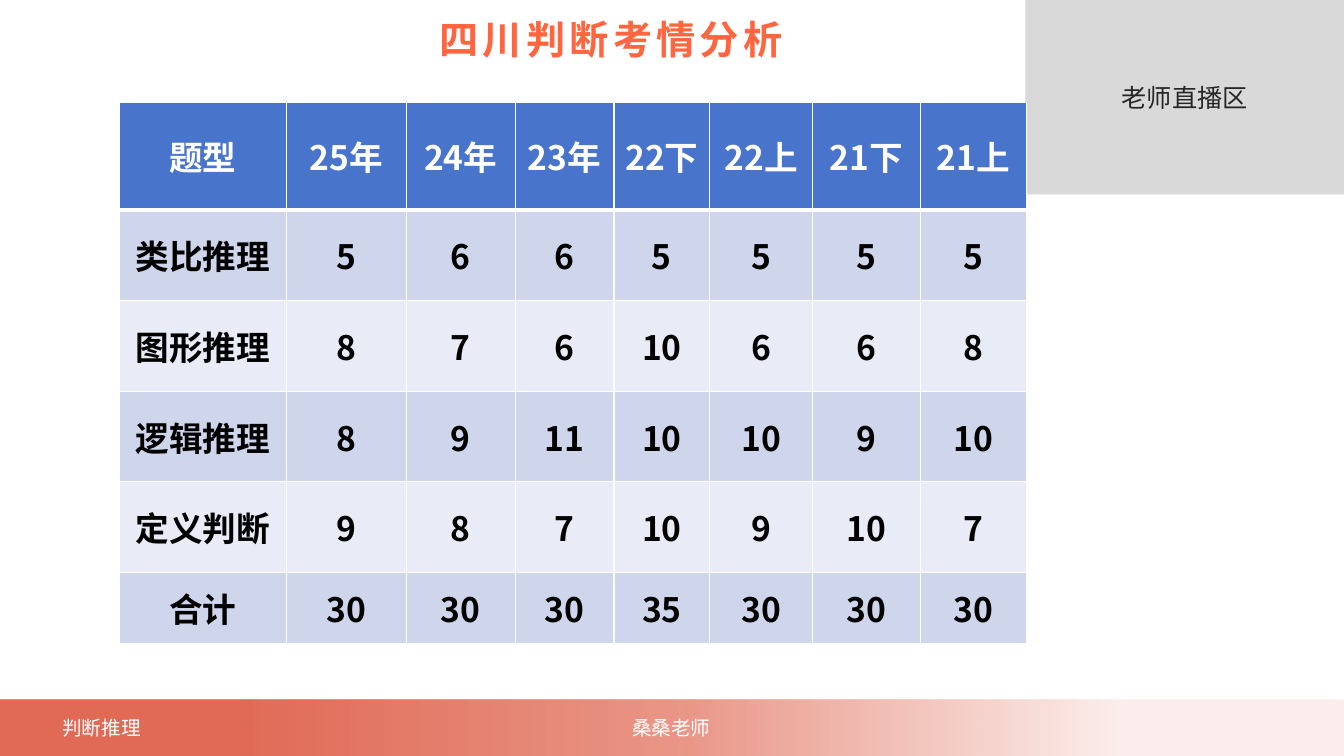
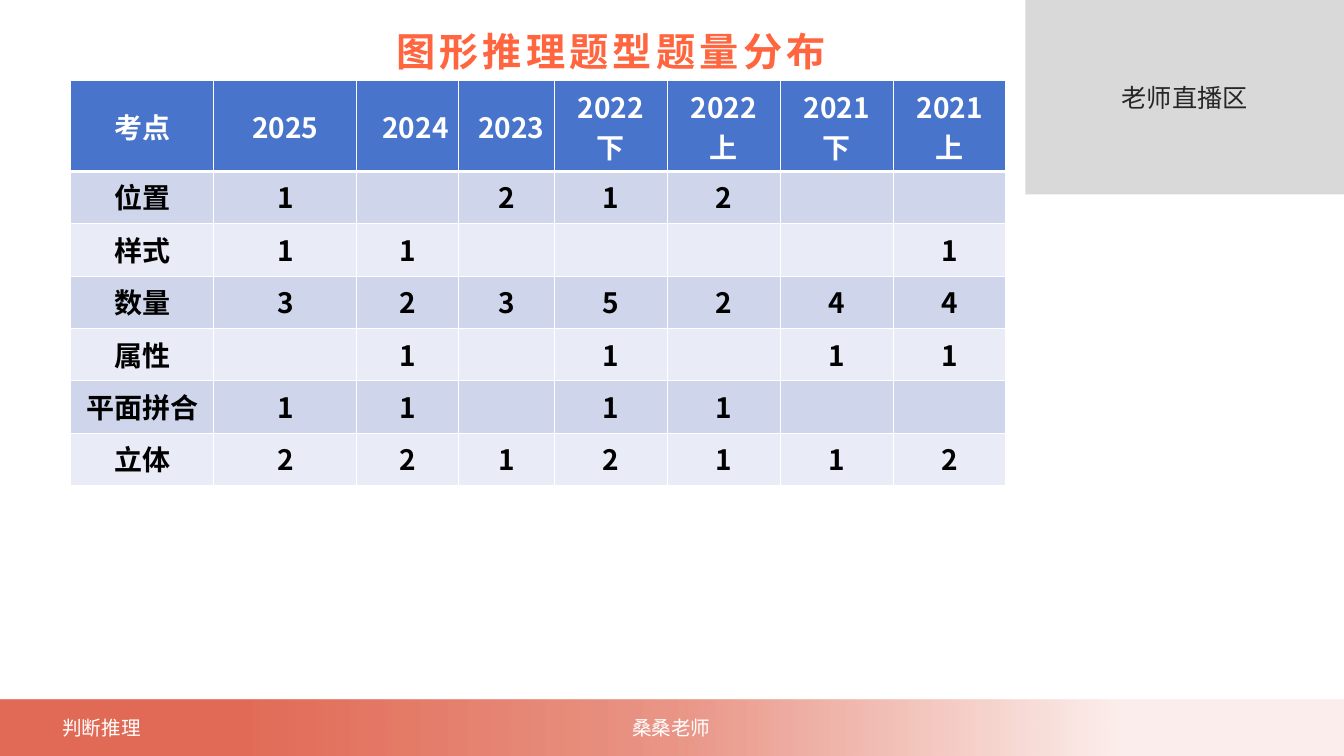
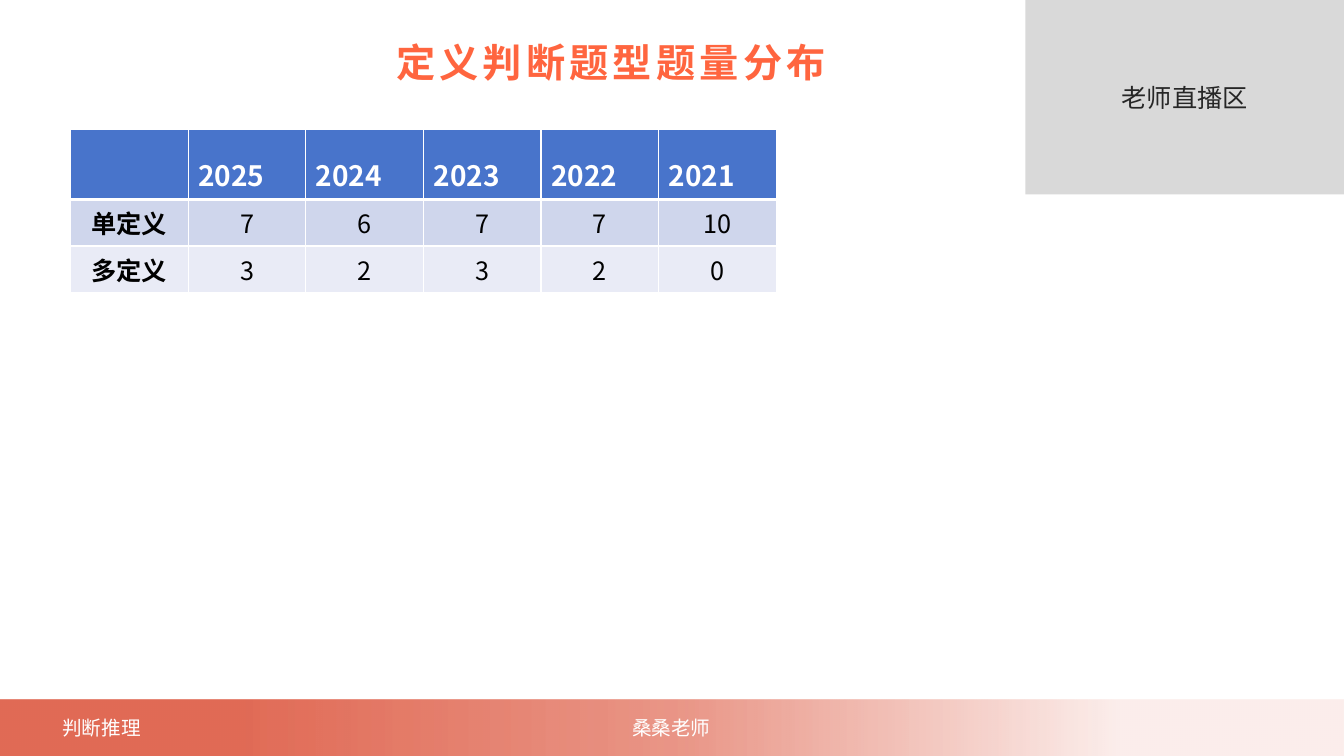
"""Build three slides of exam statistics tables."""
from lxml.etree import SubElement
from pptx import Presentation
from pptx.dml.color import RGBColor
from pptx.enum.shapes import MSO_SHAPE as Shape
from pptx.enum.text import MSO_ANCHOR as Anchor, PP_ALIGN as Align
from pptx.oxml.ns import qn
from pptx.util import Inches, Pt

FONT = "Noto Sans CJK SC"
WHITE, BLACK, DARK = "FFFFFF", "000000", "262626"
GREY, ORANGE, CORAL = "D9D9D9", "FF653F", "DC5037"
HEADER_BLUE, BANDS = "4874CB", ("CFD6EC", "E9EBF6")
FOOTER_STOPS = ((18, 84), (51, 59), (83, 10))


def color(value):
    return RGBColor.from_string(value)


def write(frame, text, size=18, ink=BLACK, bold=False, align=Align.CENTER,
          line_spacing=None, tracking=0):
    for index, line in enumerate(text.split("\n")):
        para = frame.paragraphs[0] if index == 0 else frame.add_paragraph()
        para.alignment = align
        if line_spacing:
            para.line_spacing = line_spacing
        if not line:
            continue
        span = para.add_run()
        span.text = line
        span.font.size = Pt(size)
        span.font.bold = bold
        span.font.name = FONT
        span.font.color.rgb = color(ink)
        properties = span.font._element
        SubElement(properties, qn("a:ea"), typeface=FONT)
        if tracking:
            properties.set("spc", str(tracking * 100))


class Slides:
    def __init__(self):
        self.deck = Presentation()
        self.deck.slide_width = Inches(13.33)
        self.deck.slide_height = Inches(7.5)
        self.page = None

    def new_page(self, title, title_top):
        self.page = self.deck.slides.add_slide(self.deck.slide_layouts[6])
        camera = self.rectangle(10.17, 0, 3.16, 1.93)
        camera.fill.solid()
        camera.fill.fore_color.rgb = color(GREY)
        camera.text_frame.vertical_anchor = Anchor.MIDDLE
        write(camera.text_frame, "老师直播区", ink=DARK)
        self.fade(self.rectangle(0, 6.94, 13.33, 0.57))
        for left, label in ((0.52, "判断推理"), (6.17, "桑桑老师")):
            self.text(label, left, 7.05, 0.98, 0.34, wrap=False,
                      size=14, ink=WHITE, align=Align.LEFT)
        self.text(title, 0.31, title_top, 11.5, 0.77, anchor=Anchor.MIDDLE,
                  size=28, ink=ORANGE, bold=True, tracking=3)

    def rectangle(self, left, top, width, height):
        box = self.page.shapes.add_shape(
            Shape.RECTANGLE, Inches(left), Inches(top), Inches(width), Inches(height))
        box.shadow.inherit = False
        box.line.fill.background()
        return box

    def fade(self, box):
        box.fill.gradient()
        box.fill.gradient_angle = 0
        stops = box._element.spPr.find(qn("a:gradFill")).find(qn("a:gsLst"))
        for stop in list(stops):
            stops.remove(stop)
        for position, opacity in FOOTER_STOPS:
            stop = SubElement(stops, qn("a:gs"), pos=str(position * 1000))
            shade = SubElement(stop, qn("a:srgbClr"), val=CORAL)
            SubElement(shade, qn("a:alpha"), val=str(opacity * 1000))

    def text(self, text, left, top, width, height, wrap=True, anchor=Anchor.TOP, **style):
        box = self.page.shapes.add_textbox(
            Inches(left), Inches(top), Inches(width), Inches(height))
        box.text_frame.word_wrap = wrap
        box.text_frame.vertical_anchor = anchor
        write(box.text_frame, text, **style)

    def borders(self, cell, top, bottom):
        properties = cell._tc.get_or_add_tcPr()
        for side, width in (("L", 1), ("R", 1), ("T", top), ("B", bottom)):
            edge = SubElement(properties, qn(f"a:ln{side}"), w=str(Pt(width)))
            fill = SubElement(edge, qn("a:solidFill"))
            SubElement(fill, qn("a:srgbClr"), val=WHITE)

    def table(self, left, top, widths, heights, rows, anchor=Anchor.TOP,
              header_styles=None, label_style=None, value_style=None):
        table = self.page.shapes.add_table(
            len(rows), len(widths), Inches(left), Inches(top),
            Inches(sum(widths)), Inches(sum(heights))).table
        for column, width in zip(table.columns, widths):
            column.width = Inches(width)
        for row, height in zip(table.rows, heights):
            row.height = Inches(height)
        for r, values in enumerate(rows):
            for c, value in enumerate(values):
                cell = table.cell(r, c)
                self.borders(cell, 3 if r == 1 else 1, 3 if r == 0 else 1)
                cell.fill.solid()
                cell.fill.fore_color.rgb = color(BANDS[(r - 1) % 2] if r else HEADER_BLUE)
                cell.vertical_anchor = anchor
                if r == 0:
                    style = header_styles[c]
                else:
                    style = value_style if c else label_style
                write(cell.text_frame, value, **style)


def main():
    slides = Slides()

    slides.new_page("四川判断考情分析", 0)
    body = dict(size=24, bold=True)
    slides.table(
        1.18, 1.02, [1.66, 1.19, 1.08, 0.98, 0.95, 1.02, 1.07, 1.05],
        [1.06] + [0.9] * 4 + [0.7],
        [["题型", "25年", "24年", "23年", "22下", "22上", "21下", "21上"],
         ["类比推理", "5", "6", "6", "5", "5", "5", "5"],
         ["图形推理", "8", "7", "6", "10", "6", "6", "8"],
         ["逻辑推理", "8", "9", "11", "10", "10", "9", "10"],
         ["定义判断", "9", "8", "7", "10", "9", "10", "7"],
         ["合计", "30", "30", "30", "35", "30", "30", "30"]],
        anchor=Anchor.MIDDLE, header_styles=[dict(body, ink=WHITE)] * 8,
        label_style=body, value_style=body)

    slides.new_page("图形推理题型题量分布", 0.12)
    body = dict(size=20, bold=True)
    header = dict(body, ink=WHITE)
    tall = dict(header, line_spacing=1.5)
    slides.table(
        0.7, 0.8, [1.42, 1.42, 1.01, 0.95] + [1.12] * 4, [0.9] + [0.52] * 6,
        [["考点", "2025", "2024", "2023", "2022下", "2022\n上", "2021\n下", "2021\n上"],
         ["位置", "1", "", "2", "1", "2", "", ""],
         ["样式", "1", "1", "", "", "", "", "1"],
         ["数量", "3", "2", "3", "5", "2", "4", "4"],
         ["属性", "", "1", "", "1", "", "1", "1"],
         ["平面拼合", "1", "1", "", "1", "1", "", ""],
         ["立体", "2", "2", "1", "2", "1", "1", "2"]],
        header_styles=[tall] * 2 + [dict(tall, align=Align.RIGHT)] * 2 + [header] * 4,
        label_style=body, value_style=body)

    slides.new_page("定义判断题型题量分布", 0.23)
    slides.table(
        0.7, 1.28, [7 / 6] * 6, [0.7, 0.46, 0.46],
        [["", "2025", "2024", "2023", "2022", "2021"],
         ["单定义", "7", "6", "7", "7", "10"],
         ["多定义", "3", "2", "3", "2", "0"]],
        header_styles=[dict(tall, align=Align.LEFT)] * 6,
        label_style=dict(bold=True), value_style=dict(bold=False))

    slides.deck.save("out.pptx")


if __name__ == "__main__":
    main()
